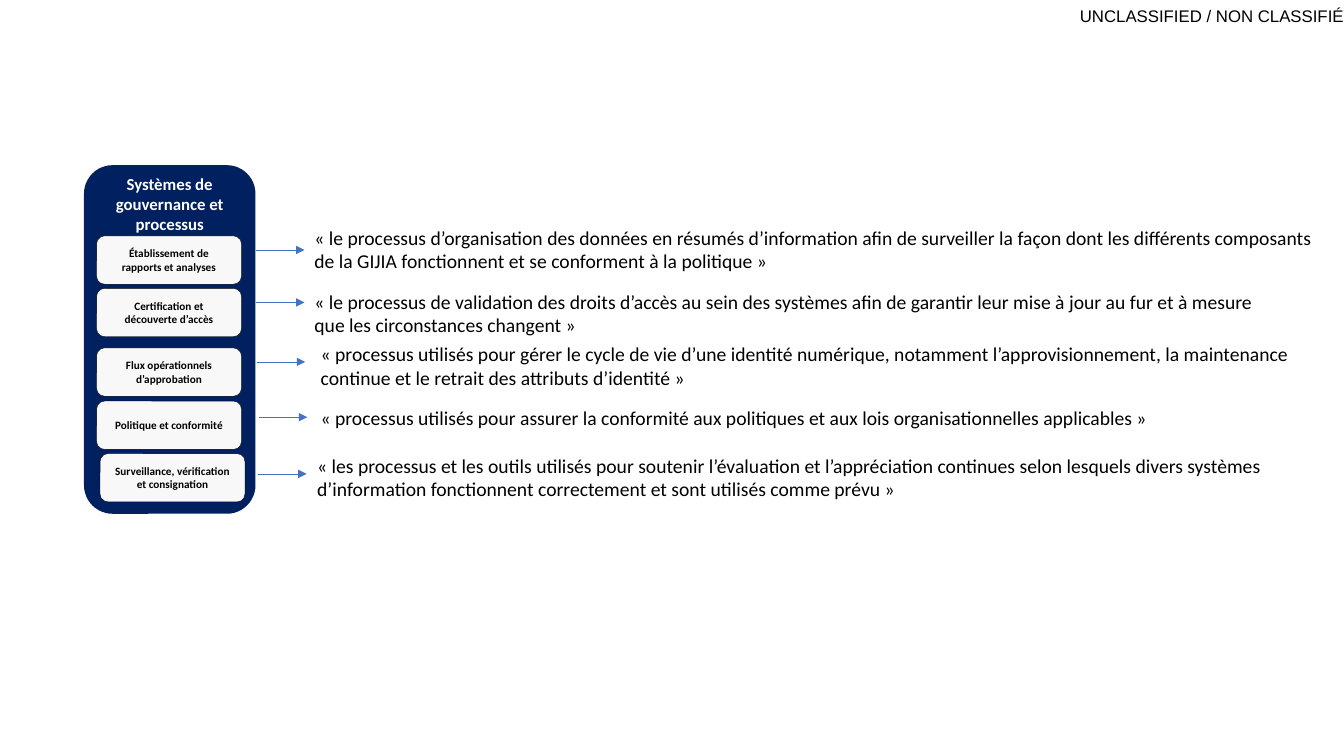
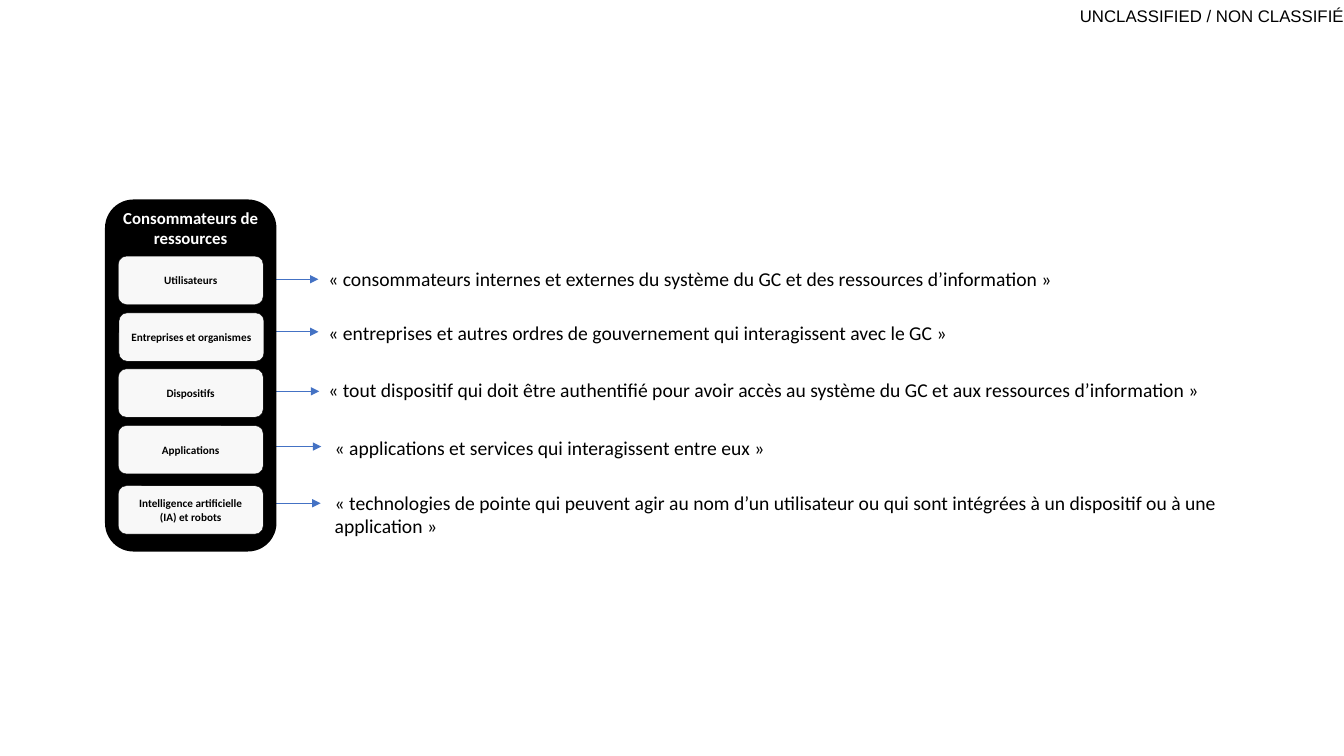
import pptx
import pptx.dml.color
import pptx.enum.shapes
import pptx.enum.text
import pptx.oxml.ns
import pptx.util
import lxml.etree

Pt = pptx.util.Pt
ALIGN = pptx.enum.text.PP_ALIGN
ANCHOR = pptx.enum.text.MSO_ANCHOR

COLORS = {
    "ink": "000000",
    "white": "FFFFFF",
    "navy": "002060",
    "pill": "F8F8F8",
    "arrow": "4472C4",
}
PANEL_WIDTH = 122.5
PILL_SIZE = (103.5, 34.5)
ARROW_LENGTH = 34.5
ARROW_STARTS = [(183, 178.5), (183, 216), (183.5, 258.5), (185, 298), (184.5, 338.5)]
DEFINITION_HEIGHTS = {1: 24, 2: 41}


def rgb(name):
    return pptx.dml.color.RGBColor.from_string(COLORS[name])


def write(frame, text, size=14, font="Calibri", color="ink", bold=False,
          align=ALIGN.LEFT, anchor=ANCHOR.TOP, insets=(7.2, 3.6)):
    frame.word_wrap = True
    frame.vertical_anchor = anchor
    frame.margin_left = frame.margin_right = Pt(insets[0])
    frame.margin_top = frame.margin_bottom = Pt(insets[1])
    paragraph = frame.paragraphs[0]
    paragraph.alignment = align
    run = paragraph.add_run()
    run.text = text
    run.font.size = Pt(size)
    run.font.name = font
    run.font.bold = bold
    run.font.color.rgb = rgb(color)


class Deck:
    def __init__(self):
        self.presentation = pptx.Presentation()
        self.presentation.slide_width = Pt(960)
        self.presentation.slide_height = Pt(540)
        self.slide = None

    def new_slide(self):
        self.slide = self.presentation.slides.add_slide(self.presentation.slide_layouts[6])
        self.text("UNCLASSIFIED / NON CLASSIFIÉ", 742.5, 0, 217.5, 22, size=12, font="Arial",
                  align=ALIGN.RIGHT, anchor=ANCHOR.MIDDLE, insets=(0, 0))

    def text(self, text, left, top, width, height, **text_format):
        box = self.slide.shapes.add_textbox(Pt(left), Pt(top), Pt(width), Pt(height))
        write(box.text_frame, text, **text_format)

    def rounded(self, text, left, top, width, height, fill, outline=None, **text_format):
        block = self.slide.shapes.add_shape(
            pptx.enum.shapes.MSO_SHAPE.ROUNDED_RECTANGLE,
            Pt(left), Pt(top), Pt(width), Pt(height))
        block.shadow.inherit = False
        block.fill.solid()
        block.fill.fore_color.rgb = rgb(fill)
        if outline:
            block.line.color.rgb = rgb(outline)
            block.line.width = Pt(0.25)
        else:
            block.line.fill.background()
        write(block.text_frame, text, bold=True, align=ALIGN.CENTER, **text_format)

    def panel(self, title, left, top, height, fill):
        self.rounded(title, left, top, PANEL_WIDTH, height, fill,
                     size=12, color="white", insets=(3.5, 0))

    def pill(self, label, left, top):
        self.rounded(label, left, top, *PILL_SIZE, "pill", outline="ink",
                     size=8, anchor=ANCHOR.MIDDLE)

    def arrow(self, left, top):
        arrow = self.slide.shapes.add_connector(
            pptx.enum.shapes.MSO_CONNECTOR.STRAIGHT,
            Pt(left), Pt(top), Pt(left + ARROW_LENGTH), Pt(top))
        arrow.line.color.rgb = rgb("arrow")
        arrow.line.width = Pt(0.5)
        qn = pptx.oxml.ns.qn
        properties = arrow.element.spPr
        lxml.etree.SubElement(properties.find(qn("a:ln")), qn("a:tailEnd"), type="triangle")
        lxml.etree.SubElement(properties, qn("a:effectLst"))

    def glossary(self, title, panel, fill, arrow_shift, terms):
        self.new_slide()
        for _, _, definition, (left, top, width), lines in terms:
            self.text(definition, left, top, width, DEFINITION_HEIGHTS[lines])
        for left, top in ARROW_STARTS:
            self.arrow(left + arrow_shift[0], top + arrow_shift[1])
        self.panel(title, *panel, fill)
        for label, place, *_ in terms:
            self.pill(label, *place)


GOVERNANCE = [
    ("Établissement de rapports et analyses", (69, 168.5),
     "«\u00a0le processus d’organisation des données en résumés d’information afin de surveiller "
     "la façon dont les différents composants de la GIJIA fonctionnent et se conforment "
     "à la politique\u00a0»", (217.5, 157.5, 731), 2),
    ("Certification et découverte d’accès", (69, 206),
     "«\u00a0le processus de validation des droits d’accès au sein des systèmes afin de garantir "
     "leur mise à jour au fur et à mesure que les circonstances changent\u00a0»",
     (217.5, 203.5, 702), 2),
    ("Flux opérationnels d’approbation", (69, 248.5),
     "«\u00a0processus utilisés pour gérer le cycle de vie d’une identité numérique, notamment "
     "l’approvisionnement, la maintenance continue et le retrait des attributs "
     "d’identité\u00a0»", (222, 241, 716.5), 2),
    ("Politique et conformité", (69, 286.5),
     "«\u00a0processus utilisés pour assurer la conformité aux politiques et aux lois "
     "organisationnelles applicables\u00a0»", (222, 286.5, 654), 1),
    ("Surveillance, vérification et consignation", (71.5, 324),
     "«\u00a0les processus et les outils utilisés pour soutenir l’évaluation et l’appréciation "
     "continues selon lesquels divers systèmes d’information fonctionnent correctement "
     "et sont utilisés comme prévu\u00a0»", (219.5, 320.5, 702), 2),
]
CONSUMERS = [
    ("Utilisateurs", (84.5, 183),
     "«\u00a0consommateurs internes et externes du système du GC et des ressources "
     "d’information\u00a0»", (227.5, 187, 654), 1),
    ("Entreprises et organismes", (85, 223.5),
     "«\u00a0entreprises et autres ordres de gouvernement qui interagissent avec le GC\u00a0»",
     (227.5, 225.5, 654), 1),
    ("Dispositifs", (84.5, 263.5),
     "«\u00a0tout dispositif qui doit être authentifié pour avoir accès au système du GC "
     "et aux ressources d’information\u00a0»", (227.5, 266.5, 654), 1),
    ("Applications", (84.5, 304),
     "«\u00a0applications et services qui interagissent entre eux\u00a0»",
     (232, 307.5, 654), 1),
    ("Intelligence artificielle (IA) et robots", (84.5, 347),
     "«\u00a0technologies de pointe qui peuvent agir au nom d’un utilisateur ou qui sont "
     "intégrées à un dispositif ou à une application\u00a0»", (232, 347, 654), 2),
]

deck = Deck()
deck.glossary("Systèmes de gouvernance et processus", (60, 118, 249), "navy", (0, 0), GOVERNANCE)
deck.glossary("Consommateurs de ressources", (75, 142.5, 251.5), "ink", (10, 21), CONSUMERS)
deck.presentation.save("out.pptx")
